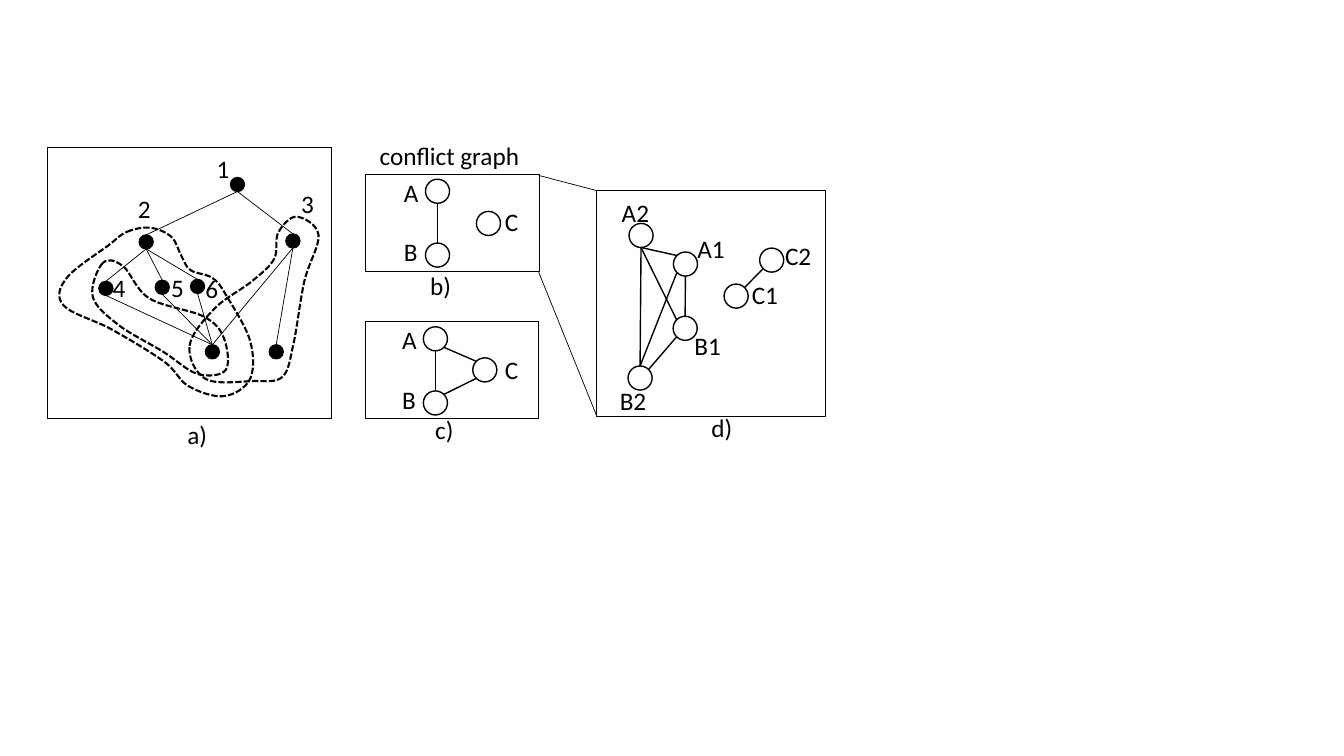
import math

import pptx
import pptx.dml.color
import pptx.enum.dml
import pptx.enum.shapes
import pptx.enum.text
import pptx.oxml
import pptx.oxml.ns
import pptx.util

COLORS = {"ink": "000000"}
DOT, RING = 5, 8.6
ANGLES = {"top": 270, "bottom": 90, "nw": 225, "ne": 315, "sw": 135, "se": 45}


def site(center, radius, side):
    angle = math.radians(ANGLES[side])
    return center[0] + radius * math.cos(angle), center[1] + radius * math.sin(angle)


class Figure:
    def __init__(self, slide):
        self.slide = slide
        self.font = "Calibri"
        self.size = 18
        self.ink = pptx.dml.color.RGBColor.from_string(COLORS["ink"])

    def outline(self, shape, width):
        shape.line.color.rgb = self.ink
        shape.line.width = pptx.util.Pt(width)

    def preset(self, kind, left, top, width, height, line, filled=False):
        shape = self.slide.shapes.add_shape(
            kind, *(pptx.util.Pt(value) for value in (left, top, width, height)))
        shape.shadow.inherit = False
        if filled:
            shape.fill.solid()
            shape.fill.fore_color.rgb = self.ink
        else:
            shape.fill.background()
        self.outline(shape, line)

    def frame(self, left, top, width, height):
        self.preset(pptx.enum.shapes.MSO_SHAPE.RECTANGLE, left, top, width, height, 0.75)

    def node(self, center, radius, filled=False):
        self.preset(pptx.enum.shapes.MSO_SHAPE.OVAL, center[0] - radius, center[1] - radius,
                    2 * radius, 2 * radius, 1, filled)

    def line(self, start, end, width):
        connector = self.slide.shapes.add_connector(
            pptx.enum.shapes.MSO_CONNECTOR.STRAIGHT,
            *(pptx.util.Pt(value) for value in (*start, *end)))
        self.outline(connector, width)
        connector.element.spPr.append(pptx.oxml.parse_xml(
            "<a:effectLst %s/>" % pptx.oxml.ns.nsdecls("a")))

    def graph(self, nodes, edges):
        for center in nodes.values():
            self.node(center, RING)
        for start, start_side, end, end_side in edges:
            self.line(site(nodes[start], RING, start_side), site(nodes[end], RING, end_side), 1)

    def loop(self, points):
        corners = [(pptx.util.Pt(x), pptx.util.Pt(y)) for x, y in points]
        builder = self.slide.shapes.build_freeform(*corners[0])
        builder.add_line_segments(corners[1:] + corners[:1], close=True)
        shape = builder.convert_to_shape()
        shape.shadow.inherit = False
        shape.fill.background()
        self.outline(shape, 1.5)
        shape.line.dash_style = pptx.enum.dml.MSO_LINE.SQUARE_DOT
        left, top = shape.left, shape.top
        count = len(corners)
        for index, segment in enumerate(shape.element.xpath(".//a:lnTo")):
            before, start, end, after = (
                corners[(index + step) % count] for step in (-1, 0, 1, 2))
            curve = [
                [start[axis] + (end[axis] - before[axis]) / 6 for axis in (0, 1)],
                [end[axis] - (after[axis] - start[axis]) / 6 for axis in (0, 1)],
                end,
            ]
            marks = "".join('<a:pt x="%d" y="%d"/>' % (x - left, y - top) for x, y in curve)
            segment.getparent().replace(segment, pptx.oxml.parse_xml(
                "<a:cubicBezTo %s>%s</a:cubicBezTo>" % (pptx.oxml.ns.nsdecls("a"), marks)))

    def text(self, text, left, top, width=18.7, height=29.1, wrap=True):
        box = self.slide.shapes.add_textbox(
            *(pptx.util.Pt(value) for value in (left, top, width, height)))
        box.text_frame.word_wrap = wrap
        box.text_frame.auto_size = pptx.enum.text.MSO_AUTO_SIZE.SHAPE_TO_FIT_TEXT
        paragraph = box.text_frame.paragraphs[0]
        run = paragraph.add_run()
        run.text = text
        run.font.name = self.font
        run.font.size = pptx.util.Pt(self.size)
        run.font.color.rgb = self.ink


def draw_tree(figure):
    nodes = {
        1: (169.6, 131.8), 2: (104.4, 172.8), 3: (209.2, 172.1), 4: (75.6, 206),
        5: (115.9, 205.2), 6: (141.1, 204.6), 7: (151.7, 251.3), 8: (197.3, 251.3),
    }
    edges = [(1, 2), (1, 3), (2, 4), (2, 5), (2, 6), (3, 7), (3, 8), (4, 7), (5, 7), (6, 7)]
    for center in nodes.values():
        figure.node(center, DOT, filled=True)
    for parent, child in edges:
        figure.line(site(nodes[parent], DOT, "bottom"), site(nodes[child], DOT, "top"), 0.5)
    figure.loop([
        (73.4, 187.9), (66.2, 211.7), (84.2, 231.8), (116.6, 251.3), (141.1, 267.1),
        (161.3, 264.2), (159.8, 241.2), (145.4, 226.1), (106.6, 213.1), (87.8, 190.1)])
    figure.loop([
        (90.7, 165.6), (107.3, 162.7), (122.4, 169.2), (129.6, 182.9), (136.1, 193),
        (151.9, 198.7), (162, 211.7), (178.6, 243.4), (178.6, 270.7), (159.8, 283),
        (134.6, 275.8), (117.4, 258.5), (79.9, 235.4), (45.4, 218.2), (47.5, 198.7),
        (77.8, 175)])
    figure.loop([
        (135.4, 247), (153.4, 220.3), (180, 200.9), (195.8, 185), (198.7, 166.3),
        (211.7, 154.8), (227.5, 167.8), (217.4, 200.9), (209.5, 246.2), (201.6, 269.3),
        (180.7, 272.2), (146.9, 270.7)])
    figure.frame(34.2, 105.3, 202.3, 193.9)
    for label, left, top in [
            ("1", 147.6, 105.8), ("2", 91.4, 134.6), ("3", 208.1, 131),
            ("4", 73.4, 190.8), ("5", 115.2, 190.8), ("6", 139.7, 191.5)]:
        figure.text(label, left, top)


def draw_conflict_graphs(figure):
    figure.graph({"A": (312.5, 136.6), "B": (312.5, 182.2), "C": (348.9, 159.6)},
                 [("A", "bottom", "B", "top")])
    figure.graph({"A": (311, 242), "B": (311, 287.8), "C": (346.3, 264.2)},
                 [("A", "bottom", "B", "top"), ("A", "se", "C", "nw"), ("B", "ne", "C", "sw")])
    for left, top in [(261.2, 124.7), (260.8, 229.7)]:
        figure.frame(left, top, 124, 69.6)
    for label, left, top in [
            ("A", 281.5, 123.1), ("B", 281.5, 164.9), ("C", 353.5, 144),
            ("A", 280.1, 228.2), ("B", 280.1, 270.7), ("C", 353.5, 249.8)]:
        figure.text(label, left, top)
    figure.text("conflict graph", 264.2, 96.5, width=115.2, wrap=False)


def draw_expanded_graph(figure):
    figure.frame(426.4, 136.2, 163.3, 161.3)
    figure.graph(
        {"A1": (489.6, 188.6), "A2": (457.9, 168.2), "B1": (489.4, 234.5),
         "B2": (457.2, 270), "C1": (525.8, 211.5), "C2": (551.2, 185.8)},
        [("A1", "bottom", "B1", "top"), ("A2", "bottom", "A1", "nw"),
         ("A2", "bottom", "B1", "nw"), ("A2", "bottom", "B2", "top"),
         ("A1", "sw", "B2", "top"), ("B1", "sw", "B2", "ne"), ("C2", "sw", "C1", "ne")])
    for label, left, top in [
            ("A1", 491, 163.4), ("A2", 437, 137.5), ("B1", 488.9, 232.6),
            ("B2", 435.6, 271.4), ("C1", 529.9, 195.8), ("C2", 553.7, 167.8)]:
        figure.text(label, left, top, width=38)
    figure.line((384.8, 125.3), (426.4, 136.2), 0.5)
    figure.line((384.8, 194.4), (426.4, 297.5), 0.5)


def main():
    presentation = pptx.Presentation()
    presentation.slide_width = pptx.util.Pt(960)
    presentation.slide_height = pptx.util.Pt(540)
    figure = Figure(presentation.slides.add_slide(presentation.slide_layouts[6]))
    draw_tree(figure)
    draw_conflict_graphs(figure)
    draw_expanded_graph(figure)
    for caption, left, top in [
            ("a)", 126.7, 295.9), ("b)", 300.2, 189.4), ("c)", 303.8, 292.3),
            ("d)", 501.1, 290.9)]:
        figure.text(caption, left, top, width=29.2, wrap=False)
    presentation.save("out.pptx")


if __name__ == "__main__":
    main()
